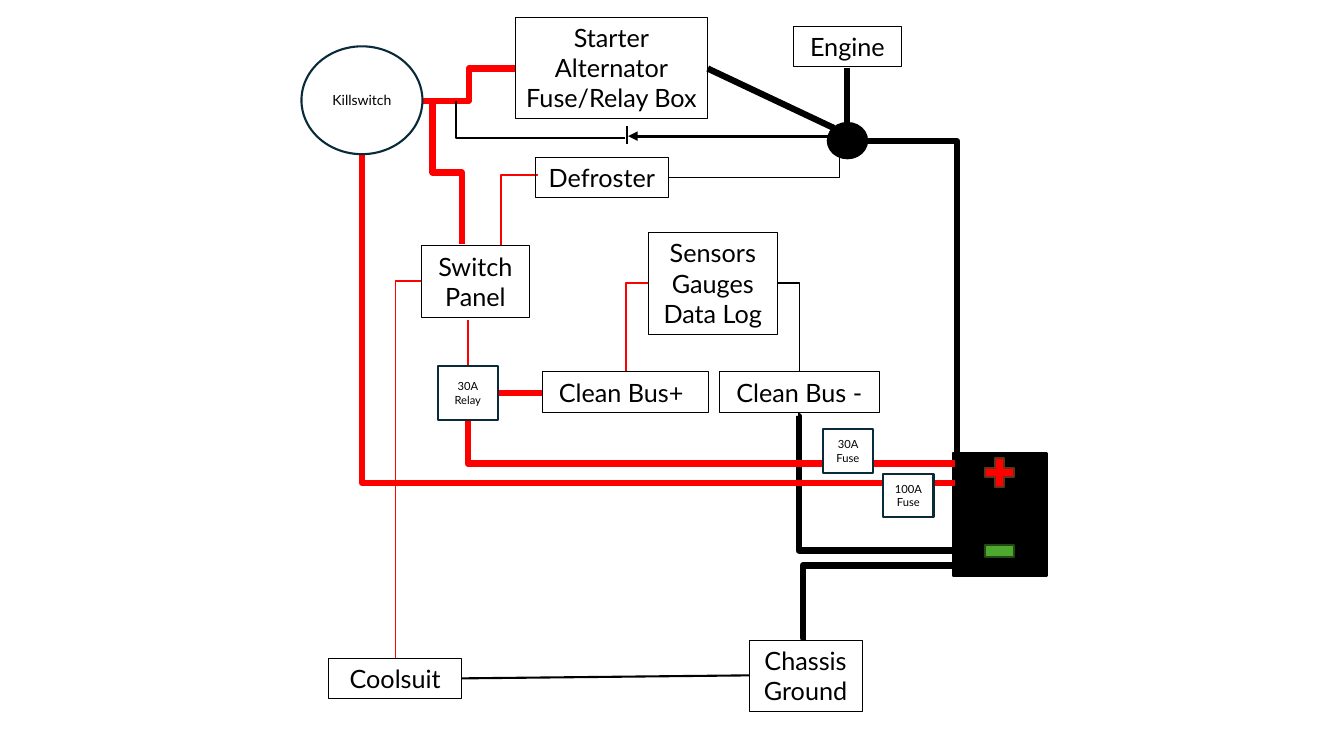
"""Draw the wiring diagram of a car's battery, switches and grounds."""
from dataclasses import dataclass

from lxml import etree
from pptx import Presentation
from pptx import util as u
from pptx.dml.color import RGBColor
from pptx.enum import shapes, text
from pptx.oxml.ns import qn

SCALE = 9144
BLACK, RED, WHITE, NAVY = "000000", "FF0000", "FFFFFF", "092A39"
SHAPE = shapes.MSO_SHAPE


@dataclass
class Label:
    """A growing, thinly framed caption."""
    caption: str
    left: int
    top: int
    width: int
    height: int
    centred: bool = True


@dataclass
class Part:
    """A filled preset shape, with or without a small caption."""
    kind: SHAPE
    left: int
    top: int
    width: int
    height: int
    fill: str
    outline: str
    caption: str = ""
    size: int = 8


@dataclass
class Wire:
    """A straight wire between two points."""
    start: tuple[int, int]
    end: tuple[int, int]
    color: str = BLACK
    weight: float = 4.5
    arrow: bool = False


@dataclass
class Elbow(Wire):
    """A wire with one corner, or with two when bend is given."""
    turn: int = 0
    flip: str = ""
    bend: float | None = None


BATTERY = [
    Part(SHAPE.RECTANGLE, 945, 449, 93, 122, BLACK, BLACK),
    Part(SHAPE.MATH_PLUS, 972, 449, 39, 39, RED, "663216"),
    Part(SHAPE.MATH_MINUS, 972, 521, 39, 51, "4EA72E", "224914"),
]
WIRES = [
    Elbow((945, 561), (799, 633), turn=180, flip="v", bend=1.019),
    Elbow((945, 546), (791, 413), turn=180, bend=0.992),
    Elbow((949, 513), (860, 140), turn=270, flip="v"),
    Elbow((359, 154), (947, 479), RED, turn=270, flip="h"),
    Elbow((464, 417), (947, 460), RED, turn=270, flip="h"),
    Elbow((419, 100), (511, 68), RED, flip="v", bend=0.5),
    Wire((822, 135), (623, 135), weight=2.25, arrow=True),
    Wire((622, 143), (622, 125), weight=1.5),
    Wire((840, 67), (840, 122)),
    Wire((702, 68), (827, 127)),
    Elbow((620, 137), (452, 101), weight=1.5, turn=180, bend=1.001),
    Wire((494, 390), (538, 390), RED),
    Wire((458, 673), (743, 670), weight=1.5),
    Elbow((663, 176), (834, 146), weight=1, flip="v", bend=0.994),
    Elbow((429, 100), (458, 242), RED, turn=270, flip="h", bend=0.5),
    Elbow((497, 244), (533, 173), RED, 1, turn=90, flip="hv", bend=0.99),
    Elbow((392, 653), (418, 279), RED, 1, turn=90, flip="hv"),
    Wire((464, 317), (464, 363), RED, 1.5),
    Elbow((621, 369), (643, 281), RED, 1, turn=90, flip="hv"),
    Elbow((793, 369), (771, 281), weight=1, turn=270, flip="v"),
]
DEVICES = [
    Part(SHAPE.FLOWCHART_CONNECTOR, 299, 46, 120, 107, WHITE, NAVY, "Killswitch", 10),
    Part(SHAPE.RECTANGLE, 434, 363, 60, 54, WHITE, NAVY, "30A Relay"),
    Part(SHAPE.FLOWCHART_CONNECTOR, 821, 122, 39, 35, BLACK, BLACK),
    Part(SHAPE.RECTANGLE, 816, 426, 50, 43, WHITE, NAVY, "30A Fuse"),
    Part(SHAPE.RECTANGLE, 876, 470, 50, 43, WHITE, NAVY, "100A Fuse"),
]
LABELS = [
    Label("Starter\nAlternator\nFuse/Relay Box", 511, 17, 191, 101),
    Label("Engine", 787, 26, 107, 40),
    Label("Defroster", 531, 156, 132, 40),
    Label("Switch Panel", 418, 244, 107, 71),
    Label("Sensors\nGauges\vData Log", 643, 231, 128, 101),
    Label(" Clean Bus+", 538, 369, 165, 40, centred=False),
    Label(" Clean Bus -", 714, 369, 158, 40, centred=False),
    Label("Coolsuit", 326, 653, 132, 40),
    Label("Chassis Ground", 743, 635, 112, 71),
]


def px(length: float) -> u.Emu:
    """Turn px into EMU."""
    return u.Emu(round(length * SCALE))


def rgb(value: str) -> RGBColor:
    """Turn a hex string into a colour."""
    return RGBColor.from_string(value)


def set_line(shape, color: str, weight: float) -> None:
    """Give a shape or a wire its line."""
    shape.line.color.rgb = rgb(color)
    shape.line.width = u.Pt(weight)


def write(shape, caption: str, size: int, centred: bool = True) -> None:
    """Fill a shape with a wrapped caption."""
    frame = shape.text_frame
    frame.word_wrap = True
    frame.text = caption
    for para in frame.paragraphs:
        para.alignment = text.PP_ALIGN.CENTER if centred else text.PP_ALIGN.LEFT
        for span in para.runs:
            span.font.name = "Lato"
            span.font.size = u.Pt(size)
            span.font.color.rgb = rgb(BLACK)


def draw_part(page, part: Part) -> None:
    """Draw a filled part."""
    shape = page.shapes.add_shape(
        part.kind, px(part.left), px(part.top), px(part.width), px(part.height))
    shape.shadow.inherit = False
    shape.fill.solid()
    shape.fill.fore_color.rgb = rgb(part.fill)
    set_line(shape, part.outline, 1.5)
    if part.caption:
        write(shape, part.caption, part.size)
        shape.text_frame.vertical_anchor = text.MSO_ANCHOR.MIDDLE


def draw_label(page, label: Label) -> None:
    """Draw a framed caption."""
    box = page.shapes.add_textbox(
        px(label.left), px(label.top), px(label.width), px(label.height))
    set_line(box, BLACK, 0.75)
    write(box, label.caption, 18, label.centred)
    box.text_frame.auto_size = text.MSO_AUTO_SIZE.SHAPE_TO_FIT_TEXT


def add_elbow(page, wire: Elbow):
    """Add a bent connector, turned about the middle of its two ends."""
    (x1, y1), (x2, y2) = wire.start, wire.end
    width, height = abs(x2 - x1), abs(y2 - y1)
    if wire.turn % 180:
        width, height = height, width
    left, top = (x1 + x2 - width) / 2, (y1 + y2 - height) / 2
    connector = page.shapes.add_connector(
        shapes.MSO_CONNECTOR.ELBOW, px(left), px(top), px(left + width), px(top + height))
    properties = connector._element.spPr
    frame = properties.find(qn("a:xfrm"))
    frame.set("rot", str(wire.turn * 60000))
    for axis in wire.flip:
        frame.set("flip" + axis.upper(), "1")
    geometry = properties.find(qn("a:prstGeom"))
    if wire.bend is None:
        geometry.set("prst", "bentConnector2")
    else:
        guides = geometry.find(qn("a:avLst"))
        etree.SubElement(guides, qn("a:gd"), name="adj1",
                         fmla=f"val {round(wire.bend * 100000)}")
    return connector


def draw_wire(page, wire: Wire) -> None:
    """Draw a straight or bent wire."""
    if isinstance(wire, Elbow):
        connector = add_elbow(page, wire)
    else:
        connector = page.shapes.add_connector(
            shapes.MSO_CONNECTOR.STRAIGHT, *map(px, wire.start + wire.end))
    set_line(connector, wire.color, wire.weight)
    properties = connector._element.spPr
    if wire.arrow:
        etree.SubElement(properties.find(qn("a:ln")), qn("a:tailEnd"), type="triangle")
    etree.SubElement(properties, qn("a:effectLst"))


def main() -> None:
    """Build the slide and save it."""
    deck = Presentation()
    deck.slide_width, deck.slide_height = px(1333), px(750)
    page = deck.slides.add_slide(deck.slide_layouts[6])
    for draw, items in ((draw_part, BATTERY), (draw_wire, WIRES),
                        (draw_part, DEVICES), (draw_label, LABELS)):
        for item in items:
            draw(page, item)
    deck.save("out.pptx")


if __name__ == "__main__":
    main()
